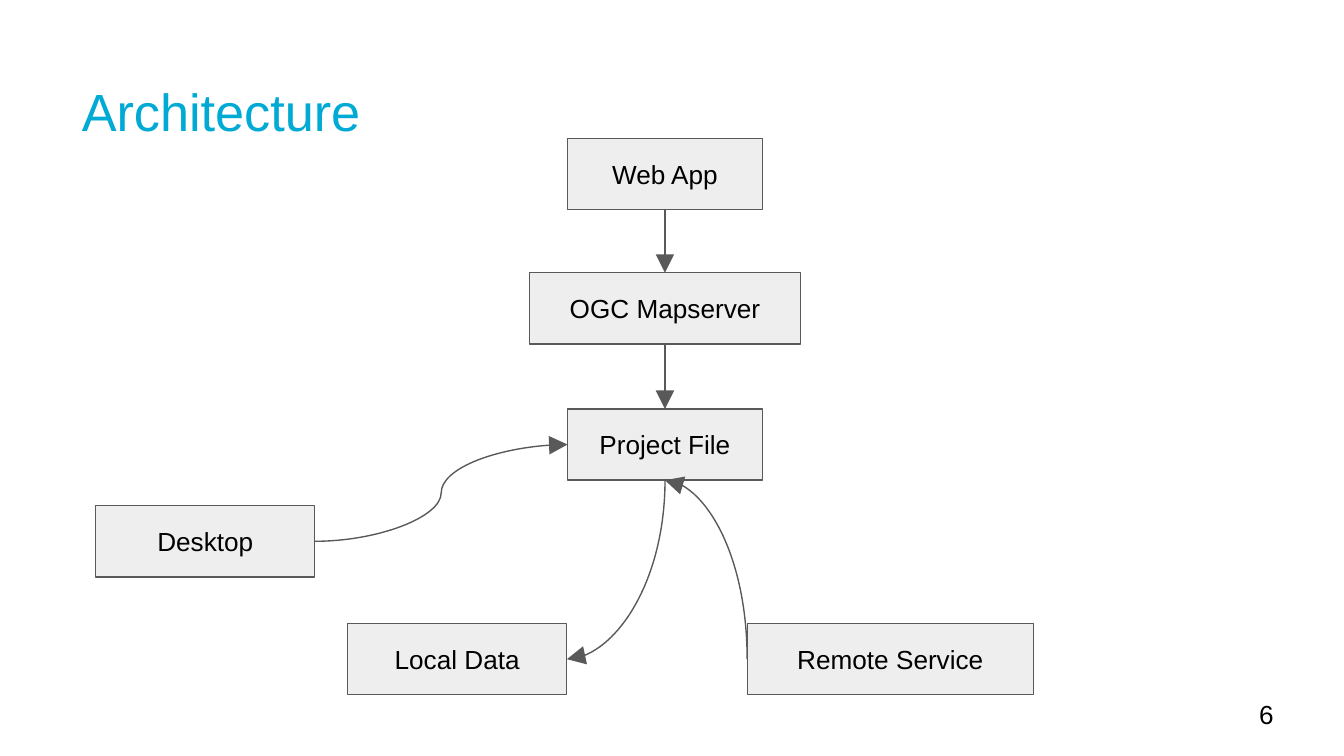
from pptx import Presentation, util as u
from pptx.dml.color import RGBColor
from pptx.enum import shapes, text
from pptx.oxml import parse_xml
from pptx.oxml.ns import nsdecls, qn

CELL = u.Inches(0.1)  # the slide is a grid of 100 columns by 56.25 rows
GREY = "595959"
hue = RGBColor.from_string
kind = shapes.MSO_CONNECTOR

deck = Presentation()
deck.slide_width, deck.slide_height = int(100 * CELL), int(56.25 * CELL)
slide = deck.slides.add_slide(deck.slide_layouts[6])


def write(words, left, top, wide, high, size=14, ink="000000", fill=None,
          side=text.PP_ALIGN.LEFT, anchor=text.MSO_ANCHOR.MIDDLE):
    """Place text at grid columns and rows, in a filled box if fill is given."""
    place = [int(n * CELL) for n in (left, top, wide, high)]
    if fill:
        shape = slide.shapes.add_shape(shapes.MSO_SHAPE.RECTANGLE, *place)
        shape.shadow.inherit = False
        shape.fill.solid()
        shape.fill.fore_color.rgb = hue(fill)
        shape.line.color.rgb = hue(GREY)
        shape.line.width = u.Pt(0.75)
    else:
        shape = slide.shapes.add_textbox(*place)
    frame = shape.text_frame
    frame.word_wrap = True
    frame.vertical_anchor = anchor
    frame.margin_left = frame.margin_right = CELL
    frame.margin_top = frame.margin_bottom = CELL
    para = frame.paragraphs[0]
    para.alignment = side
    run = para.add_run()
    run.text = words
    run.font.name, run.font.size = "Arial", u.Pt(size)
    run.font.color.rgb = hue(ink)


def link(start, end, form=kind.STRAIGHT, bend=False):
    """Draw an arrow; bend makes a quarter curve that leaves vertically."""
    (x1, y1), (x2, y2) = start, end
    if bend:  # a quarter curve is laid flat, then turned by 90 degrees
        midx, midy = (x1 + x2) / 2, (y1 + y2) / 2
        halfx, halfy = (y2 - y1) / 2, abs(x2 - x1) / 2
        x1, x2 = midx - halfx, midx + halfx
        y1, y2 = midy - halfy, midy + halfy
    line = slide.shapes.add_connector(
        form, *[int(n * CELL) for n in (x1, y1, x2, y2)])
    line.line.color.rgb = hue(GREY)
    line.line.width = u.Pt(0.75)
    props = line._element.spPr
    if bend:
        props.find(qn("a:xfrm")).set("rot", str(90 * 60000))
        props.find(qn("a:prstGeom")).set("prst", "curvedConnector2")
    props.find(qn("a:ln")).append(parse_xml(
        f'<a:tailEnd {nsdecls("a")} type="triangle" w="lg" len="lg"/>'))
    props.append(parse_xml(f'<a:effectLst {nsdecls("a")}/>'))


write("6", 92.7, 51, 6, 4.3)
write("Architecture", 5.1, 4.9, 93.2, 6.3, size=28, ink="00AAD4",
      anchor=text.MSO_ANCHOR.TOP)

# Each box: middle column, top row, width; all share one height
HIGH = 5.3
AXIS = 49.48
boxes = {
    "Project File": (AXIS, 30.43, 14.5),
    "Web App": (AXIS, 10.3, 14.5),
    "OGC Mapserver": (AXIS, 20.3, 20.2),
    "Desktop": (15.28, 37.63, 16.3),
    "Local Data": (34.03, 46.4, 16.3),
    "Remote Service": (66.25, 46.4, 21.3),
}
head, foot, west, east = {}, {}, {}, {}
for name, (mid, top, wide) in boxes.items():
    left = mid - wide / 2
    write(name, left, top, wide, HIGH, fill="EEEEEE",
          side=text.PP_ALIGN.CENTER)
    head[name], foot[name] = (mid, top), (mid, top + HIGH)
    west[name] = (left, top + HIGH / 2)
    east[name] = (left + wide, top + HIGH / 2)

link(foot["Web App"], head["OGC Mapserver"])
link(foot["OGC Mapserver"], head["Project File"])
link(foot["Project File"], east["Local Data"], kind.CURVE, bend=True)
link(west["Remote Service"], foot["Project File"], kind.CURVE, bend=True)
link(east["Desktop"], west["Project File"], kind.CURVE)

deck.save("out.pptx")
